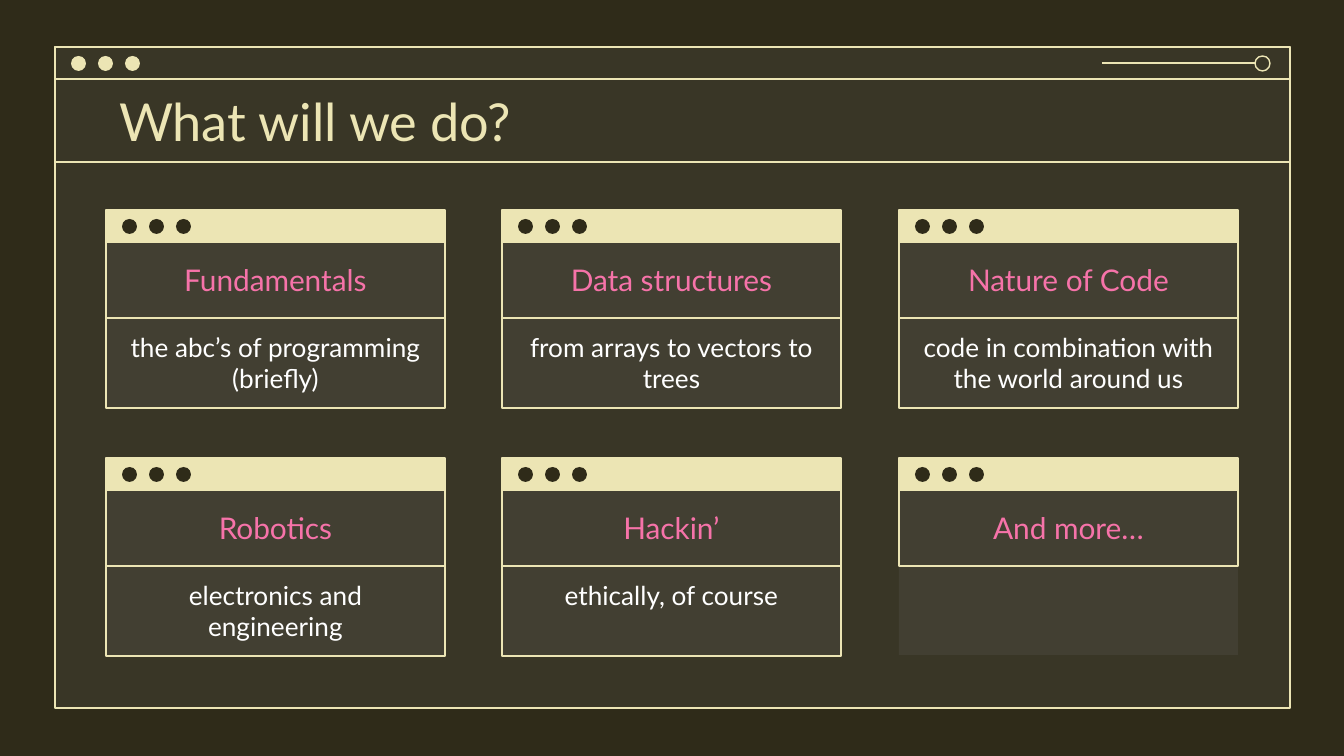
from lxml.etree import SubElement
from pptx import Presentation
from pptx.dml.color import RGBColor
from pptx.enum.shapes import MSO_CONNECTOR, MSO_SHAPE
from pptx.enum.text import MSO_ANCHOR, MSO_AUTO_SIZE, PP_ALIGN
from pptx.oxml.ns import qn
from pptx.util import Pt

EMU_PER_PX = 914400 / 134.4
DARK = RGBColor(0x2F, 0x2B, 0x19)
CREAM = RGBColor(0xEC, 0xE5, 0xB4)
GRAY = RGBColor(0x7C, 0x7C, 0x7C)
PINK = RGBColor(0xF6, 0x73, 0xA9)
WHITE = RGBColor(0xFF, 0xFF, 0xFF)

CARDS = [
    ("Fundamentals", "the abc’s of programming (briefly)"),
    ("Data structures", "from arrays to vectors to trees"),
    ("Nature of Code", "code in combination with the world around us"),
    ("Robotics", "electronics and engineering"),
    ("Hackin’", "ethically, of course"),
    ("And more…", None),
]


def px(*lengths):
    return [round(length * EMU_PER_PX) for length in lengths]


class WindowSlide:
    """Draws desktop-window elements on one slide in a shared style."""

    font_name = "Lato"
    line_width = Pt(0.75)
    inset = 13

    def __init__(self, presentation):
        self.slide = presentation.slides.add_slide(presentation.slide_layouts[5])
        background = self.slide.background.fill
        background.solid()
        background.fore_color.rgb = DARK

    def shape(self, kind, bounds, fill=None, line=None, alpha=None):
        shape = self.slide.shapes.add_shape(kind, *px(*bounds))
        shape.shadow.inherit = False
        if fill is None:
            shape.fill.background()
        else:
            shape.fill.solid()
            shape.fill.fore_color.rgb = fill
        if alpha is not None:
            color = shape.fill._xPr.find(qn("a:solidFill"))[0]
            SubElement(color, qn("a:alpha")).set("val", str(alpha * 1000))
        if line is None:
            shape.line.fill.background()
        else:
            shape.line.color.rgb = line
            shape.line.width = self.line_width
        return shape

    def box(self, *bounds, **style):
        return self.shape(MSO_SHAPE.RECTANGLE, bounds, **style)

    def circle(self, left, top, **style):
        return self.shape(MSO_SHAPE.OVAL, (left, top, 15, 15), **style)

    def dots(self, left, top, color):
        for index in range(3):
            self.circle(left + 27 * index, top, fill=color)

    def line(self, *ends):
        connector = self.slide.shapes.add_connector(MSO_CONNECTOR.STRAIGHT, *px(*ends))
        connector.line.color.rgb = CREAM
        connector.line.width = self.line_width
        SubElement(connector._element.spPr, qn("a:effectLst"))

    def text(self, shape, words, size, color, align=PP_ALIGN.CENTER, anchor=MSO_ANCHOR.MIDDLE):
        frame = shape.text_frame
        frame.text = words
        (inset,) = px(self.inset)
        frame_format = {
            "word_wrap": True,
            "auto_size": MSO_AUTO_SIZE.NONE,
            "vertical_anchor": anchor,
            "margin_left": inset,
            "margin_right": inset,
            "margin_top": inset,
            "margin_bottom": inset,
        }
        for name, value in frame_format.items():
            setattr(frame, name, value)
        paragraph = frame.paragraphs[0]
        paragraph.alignment = align
        font = paragraph.runs[0].font
        for name, value in {"name": self.font_name, "size": Pt(size)}.items():
            setattr(font, name, value)
        font.color.rgb = color

    def window(self):
        self.box(55, 48, 1234, 661, fill=GRAY, alpha=14)
        self.box(55, 47, 1235, 661, line=CREAM)
        self.box(55, 47, 1235, 32, line=CREAM)
        self.dots(71, 56, CREAM)
        self.circle(1255, 56, line=CREAM)
        self.line(1102, 63, 1255, 63)
        self.line(55, 162, 1290, 162)

    def title(self, words):
        title = self.slide.shapes.title
        title.left, title.top, title.width, title.height = px(106, 79, 1133, 83)
        self.text(title, words, 28, CREAM, align=PP_ALIGN.LEFT)
        self.slide.shapes._spTree.append(title._element)

    def card(self, left, top, heading, description):
        width = 339
        self.box(left, top + 32, width, 165, fill=GRAY, alpha=14)
        self.box(left, top, width, 32, fill=CREAM, line=CREAM)
        self.dots(left + 16, top + 9, DARK)
        heading_box = self.box(left, top + 31, width, 77, line=CREAM)
        self.text(heading_box, heading, 16, PINK)
        if description:
            description_box = self.box(left, top + 108, width, 90, line=CREAM)
            self.text(description_box, description, 14, WHITE, anchor=MSO_ANCHOR.TOP)


def main():
    presentation = Presentation()
    presentation.slide_width, presentation.slide_height = px(1344, 756)
    window_slide = WindowSlide(presentation)
    window_slide.window()
    window_slide.title("What will we do?")
    for index, (heading, description) in enumerate(CARDS):
        row, column = divmod(index, 3)
        window_slide.card(106 + 793 * column // 2, 210 + 248 * row, heading, description)
    presentation.save("out.pptx")


if __name__ == "__main__":
    main()
